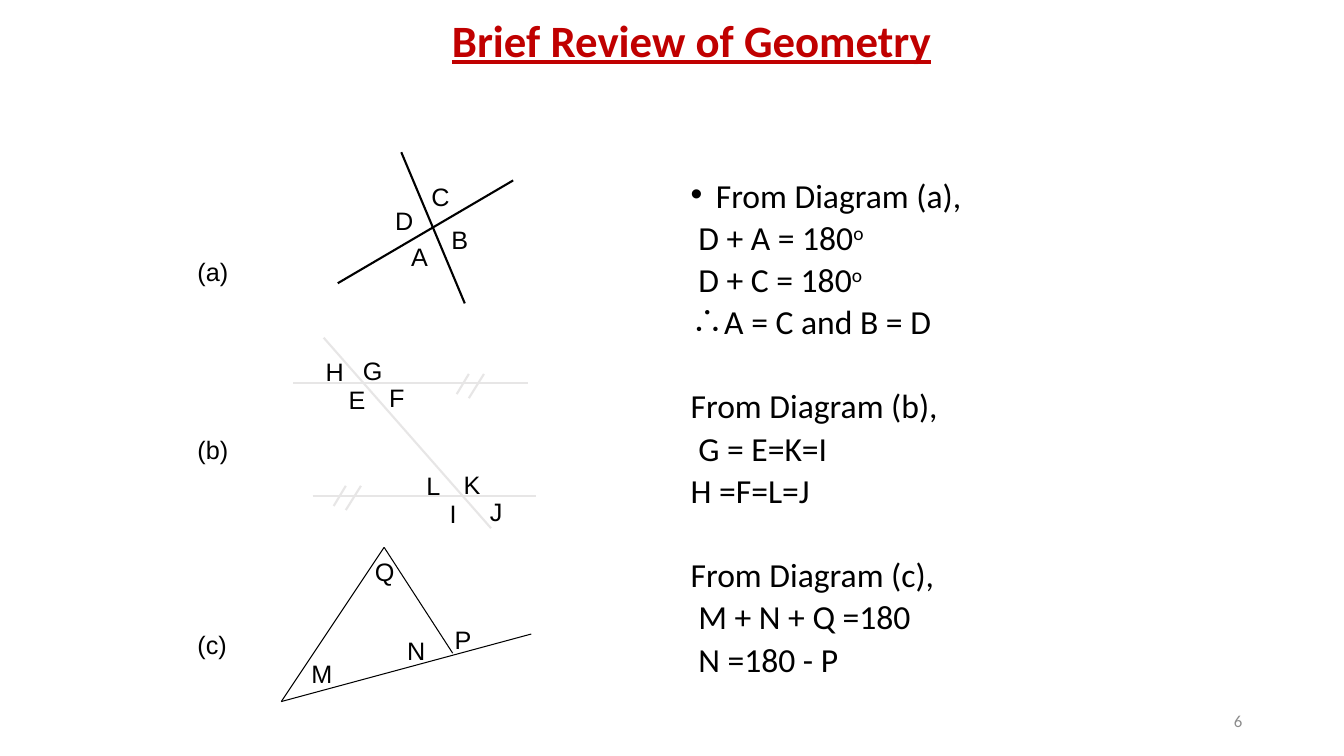
import lxml.etree
import pptx
import pptx.dml.color
import pptx.enum.shapes
import pptx.enum.text
import pptx.oxml.ns
import pptx.util
from pptx.util import Inches

BLACK = pptx.dml.color.RGBColor(0x00, 0x00, 0x00)
RED = pptx.dml.color.RGBColor(0xC0, 0x00, 0x00)
PALE = pptx.dml.color.RGBColor(0xE7, 0xE6, 0xE6)
GRAY = pptx.dml.color.RGBColor(0x8C, 0x8C, 0x8C)

# Bullet, space before in points, text, superscript
STATEMENTS = [
    ("•", 0, "From Diagram (a),", ""),
    ("", 10, " D + A = 180", "o"),
    ("", 10, " D + C = 180", "o"),
    ("∴", 10, "A = C and B = D", ""),
    ("", 40, "From Diagram (b),", ""),
    ("", 10, " G = E=K=I", ""),
    ("", 10, "H =F=L=J", ""),
    ("", 40, "From Diagram (c),", ""),
    ("", 10, " M + N + Q =180", ""),
    ("", 10, " N =180 - P", ""),
]


def place(shape, left, top, width, height):
    shape.left, shape.top = Inches(left), Inches(top)
    shape.width, shape.height = Inches(width), Inches(height)


def add_span(para, text, size, color, font="Calibri"):
    span = para.add_run()
    span.text = text
    span.font.name = font
    span.font.size = pptx.util.Pt(size)
    span.font.color.rgb = color
    return span


def add_label(shapes, text, left, top, width=0.51):
    box = shapes.add_textbox(Inches(left), Inches(top), Inches(width), Inches(0.4))
    box.text_frame.word_wrap = True
    add_span(box.text_frame.paragraphs[0], text, 18, BLACK, "Arial")


def add_line(shapes, start, end, color=BLACK, weight=1.5):
    line = shapes.add_connector(
        pptx.enum.shapes.MSO_CONNECTOR.STRAIGHT,
        *(Inches(length) for length in (*start, *end)))
    line.line.color.rgb = color
    line.line.width = pptx.util.Pt(weight)
    lxml.etree.SubElement(line._element.spPr, pptx.oxml.ns.qn("a:effectLst"))


def set_bullet(para, mark):
    """Give the paragraph a hanging indent, with a bullet if there is a mark."""
    properties = para._p.get_or_add_pPr()
    properties.set("marL", str(Inches(0.25)))
    properties.set("indent", str(-Inches(0.25)))
    if mark:
        font = lxml.etree.SubElement(properties, pptx.oxml.ns.qn("a:buFont"))
        font.set("typeface", "Arial")
        bullet = lxml.etree.SubElement(properties, pptx.oxml.ns.qn("a:buChar"))
        bullet.set("char", mark)
    else:
        lxml.etree.SubElement(properties, pptx.oxml.ns.qn("a:buNone"))


def add_title(page):
    title = page.shapes.title
    place(title, 4.36, 0.07, 5, 0.64)
    title.text_frame.auto_size = pptx.enum.text.MSO_AUTO_SIZE.NONE
    title.text_frame.word_wrap = False
    span = add_span(title.text_frame.paragraphs[0], "Brief Review of Geometry", 32, RED)
    span.font.bold = True
    span.font.underline = True


def add_statements(page):
    body = page.placeholders[1]
    place(body, 6.75, 1.79, 5.29, 5.15)
    frame = body.text_frame
    frame.auto_size = pptx.enum.text.MSO_AUTO_SIZE.NONE
    for index, (mark, space, text, superscript) in enumerate(STATEMENTS):
        para = frame.add_paragraph() if index else frame.paragraphs[0]
        set_bullet(para, mark)
        para.line_spacing = 0.7
        para.space_before = pptx.util.Pt(space)
        add_span(para, text, 24, BLACK)
        if superscript:
            span = add_span(para, superscript, 24, BLACK)
            span.font._element.set("baseline", "30000")


def add_crossing_lines(page):
    shapes = page.shapes.add_group_shape().shapes
    add_line(shapes, (3.98, 1.51), (4.61, 3.01))
    add_line(shapes, (3.35, 2.81), (5.09, 1.79))
    for text, left, top in [("A", 3.98, 2.34), ("B", 4.38, 2.18),
                            ("C", 4.18, 1.75), ("D", 3.82, 1.99)]:
        add_label(shapes, text, left, top, 0.43)


def add_parallel_lines(page):
    shapes = page.shapes.add_group_shape().shapes
    add_line(shapes, (2.91, 3.8), (5.24, 3.8), PALE)
    add_line(shapes, (3.1, 4.92), (5.32, 4.92), PALE)
    add_line(shapes, (3.21, 3.35), (4.87, 5.24), PALE)
    for upper, lower, left, top in [("E", "I", 3.36, 3.76), ("F", "J", 3.76, 3.74),
                                    ("G", "K", 3.5, 3.48), ("H", "L", 3.13, 3.49)]:
        add_label(shapes, upper, left, top, 0.41)
        add_label(shapes, lower, left + 1, top + 1.13, 0.41)
    for right, down in [(0, 0), (-1.22, 1.11)]:
        add_line(shapes, (4.65 + right, 3.71 + down), (4.53 + right, 3.91 + down), PALE)
        add_line(shapes, (4.8 + right, 3.71 + down), (4.65 + right, 3.95 + down), PALE)


def add_triangle(page):
    shapes = page.shapes.add_group_shape().shapes
    apex, corner = (3.81, 5.43), (2.79, 6.96)
    add_line(shapes, apex, corner, weight=0.75)
    add_line(shapes, apex, (4.49, 6.48), weight=0.75)
    add_line(shapes, corner, (5.27, 6.29), weight=0.75)
    for text, left, top in [("M", 2.99, 6.48), ("N", 3.94, 6.25),
                            ("P", 4.41, 6.14), ("Q", 3.62, 5.47)]:
        add_label(shapes, text, left, top)


def add_page_number(page):
    box = page.shapes.add_textbox(Inches(9.42), Inches(6.95), Inches(3), Inches(0.4))
    box.text_frame.word_wrap = True
    box.text_frame.vertical_anchor = pptx.enum.text.MSO_ANCHOR.MIDDLE
    para = box.text_frame.paragraphs[0]
    para.alignment = pptx.enum.text.PP_ALIGN.RIGHT
    add_span(para, "6", 12, GRAY)


def main():
    deck = pptx.Presentation()
    deck.slide_width, deck.slide_height = Inches(13.33), Inches(7.5)
    page = deck.slides.add_slide(deck.slide_layouts[1])
    add_title(page)
    add_statements(page)
    add_crossing_lines(page)
    add_parallel_lines(page)
    add_triangle(page)
    for text, top in [("(a)", 2.49), ("(b)", 4.26), ("(c)", 6.19)]:
        add_label(page.shapes, text, 1.86, top)
    add_page_number(page)
    deck.save("out.pptx")


if __name__ == "__main__":
    main()
